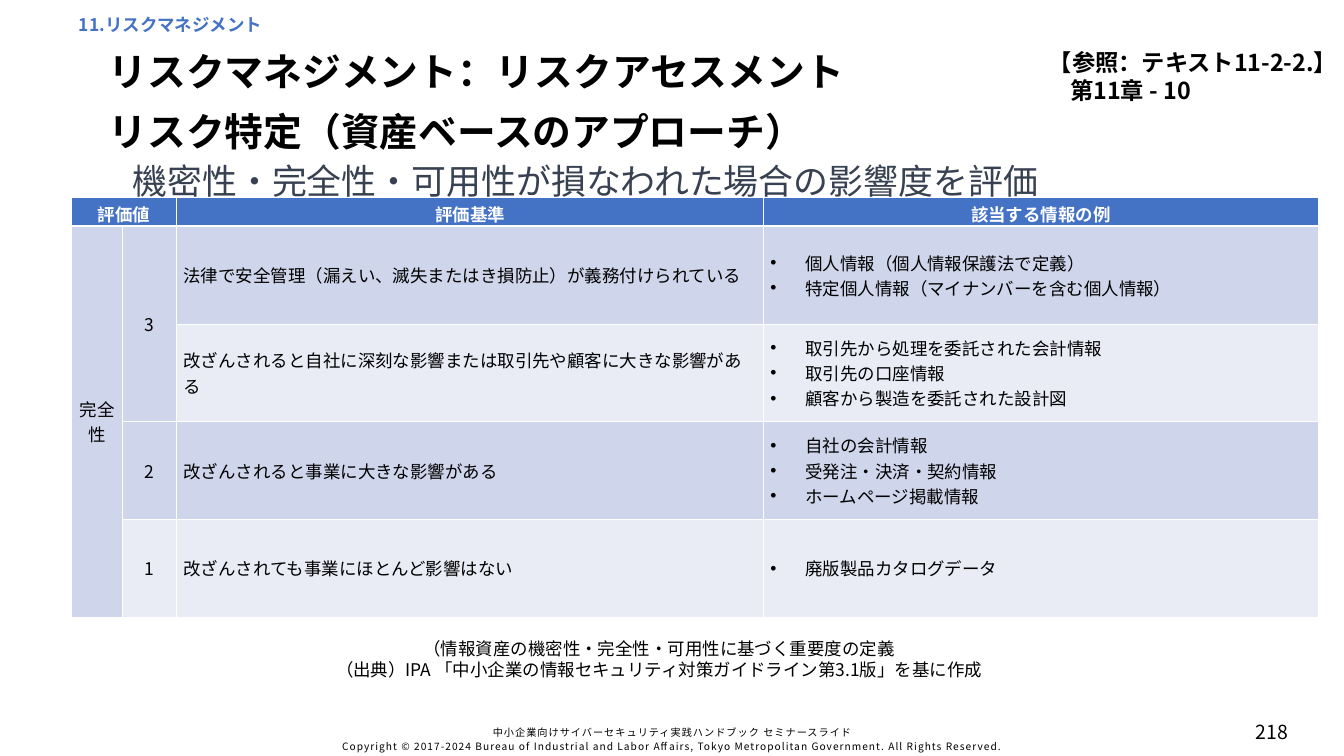
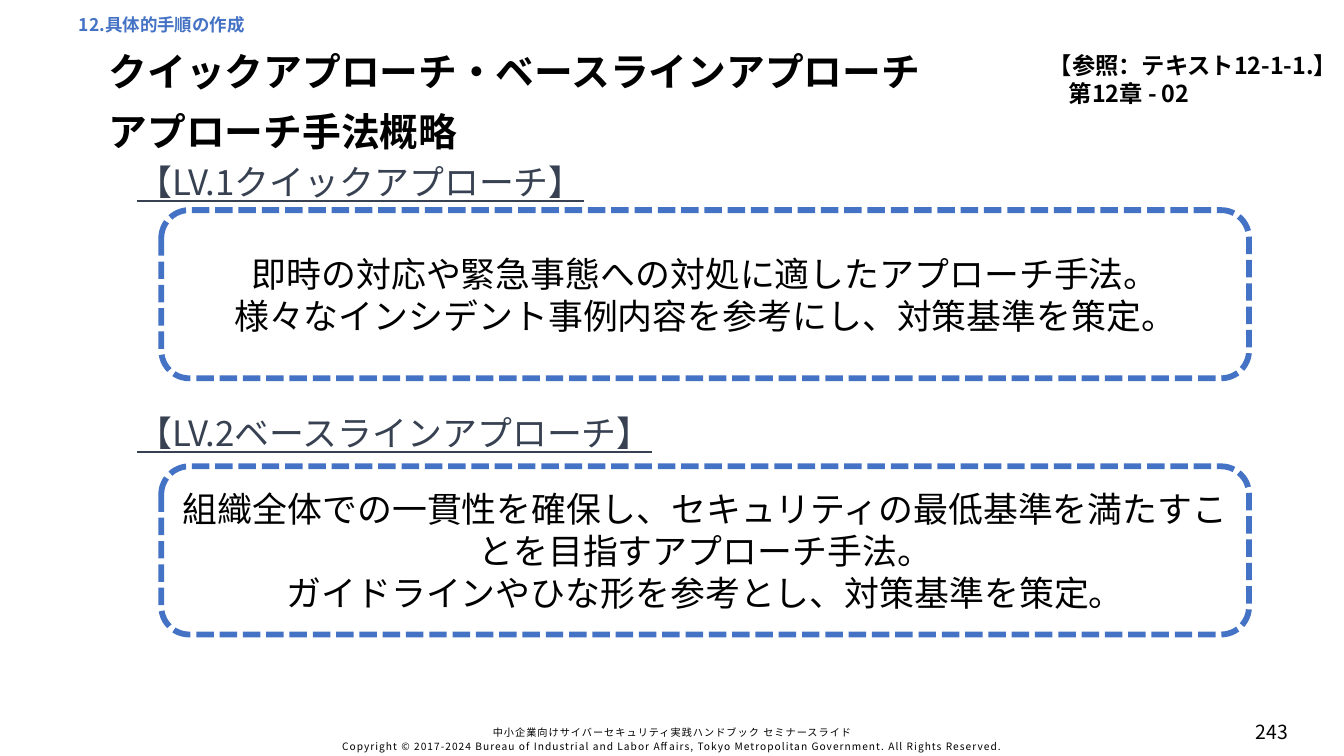
import dataclasses

import pptx
import pptx.dml.color
import pptx.enum.dml
import pptx.enum.shapes
import pptx.enum.text
import pptx.oxml
import pptx.oxml.ns
import pptx.util

ALIGN = pptx.enum.text.PP_ALIGN
ANCHOR = pptx.enum.text.MSO_ANCHOR


@dataclasses.dataclass(frozen=True)
class Theme:
    """Hold the page size, font, colours and type sizes."""
    width: float = 19.26
    height: float = 10.83
    font: str = "Noto Sans CJK JP"
    ink: str = "000000"
    slate: str = "374151"
    blue: str = "4472C4"
    white: str = "FFFFFF"
    bands: tuple = ("CFD5EA", "E9EBF5")
    title: float = 40
    lead: float = 36
    ref: float = 24
    page: float = 20
    body: float = 18
    footer: float = 10.5


T = Theme()


def col(n):
    """Return n hundredths of the slide width."""
    return pptx.util.Inches(T.width * n / 100)


def row(n):
    """Return n hundredths of the slide height."""
    return pptx.util.Inches(T.height * n / 100)


def area(x, y, w, h):
    """Turn grid units into left, top, width and height."""
    return col(x), row(y), col(w), row(h)


def rgb(value):
    """Return a colour object for a hex string."""
    return pptx.dml.color.RGBColor.from_string(value)


def add_xml(parent, tag, attrs, inner=""):
    """Append a drawing element to the parent."""
    ns = pptx.oxml.ns.nsdecls("a")
    parent.append(pptx.oxml.parse_xml(f"<a:{tag} {ns} {attrs}>{inner}</a:{tag}>"))


def write(tf, lines, size=T.body, color=T.ink, bold=False, underline=False,
          align=ALIGN.LEFT, spacing=None, tracking=None, bullet=False):
    """Write each line as one formatted paragraph."""
    for i, line in enumerate(lines):
        p = tf.add_paragraph() if i else tf.paragraphs[0]
        p.alignment = align
        if spacing:
            p.line_spacing = spacing
        if bullet:
            pPr = p._p.get_or_add_pPr()
            indent = pptx.util.Inches(0.5)
            pPr.set("marL", str(indent))
            pPr.set("indent", str(-indent))
            add_xml(pPr, "buFont", 'typeface="Arial"')
            add_xml(pPr, "buChar", 'char="•"')
        for j, part in enumerate(line.split("\n")):
            if j:
                p.add_line_break()
            r = p.add_run()
            r.text = part
            r.font.size = pptx.util.Pt(size)
            r.font.bold = bold
            r.font.underline = underline
            r.font.color.rgb = rgb(color)
            r.font.name = T.font
            rPr = r._r.get_or_add_rPr()
            add_xml(rPr, "ea", f'typeface="{T.font}"')
            if tracking:
                rPr.set("spc", str(round(tracking * 100)))


def add_text(s, place, lines, anchor=ANCHOR.TOP, grow=True, margins=None, **fmt):
    """Add a wrapping text box at a grid place."""
    tf = s.shapes.add_textbox(*area(*place)).text_frame
    tf.word_wrap = True
    tf.vertical_anchor = anchor
    fit = pptx.enum.text.MSO_AUTO_SIZE
    tf.auto_size = fit.SHAPE_TO_FIT_TEXT if grow else fit.NONE
    if margins:
        tf.margin_left, tf.margin_top, tf.margin_right, tf.margin_bottom = map(
            pptx.util.Inches, margins)
    write(tf, lines, **fmt)


def add_lead(s, x, y, text):
    """Add an underlined lead line."""
    add_text(s, (x, y, 87.75, 6.56), [text], size=T.lead, color=T.slate, underline=True)


def add_panel(s, y, lines):
    """Add a dashed rounded panel with centred text."""
    kind = pptx.enum.shapes.MSO_SHAPE.ROUNDED_RECTANGLE
    sp = s.shapes.add_shape(kind, *area(12, y, 80.94, 22.25))
    sp.shadow.inherit = False
    sp.fill.background()
    sp.line.color.rgb = rgb(T.blue)
    sp.line.width = pptx.util.Pt(6)
    sp.line.dash_style = pptx.enum.dml.MSO_LINE.SQUARE_DOT
    sp.text_frame.word_wrap = True
    sp.text_frame.vertical_anchor = ANCHOR.MIDDLE
    write(sp.text_frame, lines, size=T.lead, align=ALIGN.CENTER)


def style_cell(cell, fill, top=1, bottom=1):
    """Give a cell white borders, a fill and middle anchoring."""
    tcPr = cell._tc.get_or_add_tcPr()
    for side, width in zip("LRTB", (1, 1, top, bottom)):
        add_xml(tcPr, f"ln{side}", f'w="{pptx.util.Pt(width)}"',
                f'<a:solidFill><a:srgbClr val="{T.white}"/></a:solidFill>')
    cell.fill.solid()
    cell.fill.fore_color.rgb = rgb(fill)
    cell.vertical_anchor = ANCHOR.MIDDLE


def add_criteria_table(s, heads, aspect, levels):
    """Add the table of scores, criteria and examples."""
    widths = (3.84, 4, 43.67, 41.28)
    heights = (3.79,) + (12.93,) * len(levels)
    place = area(5.3, 26.13, sum(widths), sum(heights))
    table = s.shapes.add_table(len(heights), len(widths), *place).table
    for column, width in zip(table.columns, widths):
        column.width = col(width)
    for line, height in zip(table.rows, heights):
        line.height = row(height)
    for i in range(len(heights)):
        for j in range(len(widths)):
            fill = T.bands[(i - 1) % 2] if i else T.blue
            if i and not j:
                fill = T.bands[0]
            style_cell(table.cell(i, j), fill, 3 if i == 1 else 1, 1 if i else 3)
    table.cell(0, 0).merge(table.cell(0, 1))
    table.cell(1, 0).merge(table.cell(len(levels), 0))
    table.cell(1, 1).merge(table.cell(2, 1))
    for j, head in zip((0, 2, 3), heads):
        write(table.cell(0, j).text_frame, [head], color=T.white, bold=True,
              align=ALIGN.CENTER)
    write(table.cell(1, 0).text_frame, [aspect], align=ALIGN.CENTER)
    for i, (score, criterion, examples) in enumerate(levels, 1):
        if score:
            write(table.cell(i, 1).text_frame, [score], align=ALIGN.CENTER)
        write(table.cell(i, 2).text_frame, [criterion])
        write(table.cell(i, 3).text_frame, examples, bullet=True)


def add_page(prs, chapter, titles, ref, ref_at, number):
    """Add a slide with the shared heading, reference and footer."""
    s = prs.slides.add_slide(prs.slide_layouts[6])
    add_text(s, (19.42, 95.38, 61.21, 4.71), [
        "中小企業向けサイバーセキュリティ実践ハンドブック セミナースライド",
        "Copyright © 2017-2024 Bureau of Industrial and Labor Affairs, "
        "Tokyo Metropolitan Government. All Rights Reserved.",
    ], anchor=ANCHOR.MIDDLE, size=T.footer, align=ALIGN.CENTER, spacing=1.1, tracking=1.1)
    add_text(s, (90.24, 95.01, 8.77, 3.51), [number], anchor=ANCHOR.MIDDLE, grow=False,
             size=T.page, align=ALIGN.CENTER)
    add_text(s, (5.82, 2.59, 90.76, 2.31), [chapter], margins=(0.01, 0.01, 0, 0),
             color=T.blue, bold=True, spacing=pptx.util.Pt(15))
    for i, title in enumerate(titles):
        add_text(s, (7.58, 7.02 + 7.85 * i, 84.84, 5.63), [title], anchor=ANCHOR.MIDDLE,
                 grow=False, size=T.title, bold=True, spacing=0.9)
    x, y = ref_at
    for_lines = zip(ref, (ALIGN.RIGHT, ALIGN.CENTER))
    add_text(s, (x, y, 100 - x, 8.4), ref, size=T.ref, bold=True)
    tf = s.shapes[-1].text_frame
    for p, (_, align) in zip(tf.paragraphs, for_lines):
        p.alignment = align
    return s


def main():
    """Build and save the two slides."""
    prs = pptx.Presentation()
    prs.slide_width, prs.slide_height = col(100), row(100)

    s = add_page(prs, "11.リスクマネジメント",
                 ["リスクマネジメント：リスクアセスメント", "リスク特定（資産ベースのアプローチ）"],
                 ["【参照：テキスト11-2-2.】", "第11章 - 10"], (68.22, 5.91), "218")
    add_lead(s, 9.35, 20.59, "機密性・完全性・可用性が損なわれた場合の影響度を評価")
    add_text(s, (21.44, 83.93, 55.19, 6.56), [
        "（情報資産の機密性・完全性・可用性に基づく重要度の定義\n"
        "（出典）IPA 「中小企業の情報セキュリティ対策ガイドライン第3.1版」を基に作成",
    ], align=ALIGN.CENTER)
    add_criteria_table(s, ["評価値", "評価基準", "該当する情報の例"], "完全性", [
        ("3", "法律で安全管理（漏えい、滅失またはき損防止）が義務付けられている",
         ["個人情報（個人情報保護法で定義）", "特定個人情報（マイナンバーを含む個人情報）"]),
        ("", "改ざんされると自社に深刻な影響または取引先や顧客に大きな影響がある",
         ["取引先から処理を委託された会計情報", "取引先の口座情報", "顧客から製造を委託された設計図"]),
        ("2", "改ざんされると事業に大きな影響がある",
         ["自社の会計情報", "受発注・決済・契約情報", "ホームページ掲載情報"]),
        ("1", "改ざんされても事業にほとんど影響はない", ["廃版製品カタログデータ"]),
    ])

    s = add_page(prs, "12.具体的手順の作成",
                 ["クイックアプローチ・ベースラインアプローチ", "アプローチ手法概略"],
                 ["【参照：テキスト12-1-1.】", "第12章 - 02"], (68.02, 6.28), "243")
    approaches = [
        ("【LV.1クイックアプローチ】",
         ["即時の対応や緊急事態への対処に適したアプローチ手法。",
          "様々なインシデント事例内容を参考にし、対策基準を策定。"]),
        ("【LV.2ベースラインアプローチ】",
         ["組織全体での一貫性を確保し、セキュリティの最低基準を満たすことを目指すアプローチ手法。",
          "ガイドラインやひな形を参考とし、対策基準を策定。"]),
    ]
    for i, (lead, lines) in enumerate(approaches):
        add_lead(s, 9.71, 20.78 + 33.24 * i, lead)
        add_panel(s, 27.79 + 33.89 * i, lines)

    prs.save("out.pptx")


if __name__ == "__main__":
    main()
